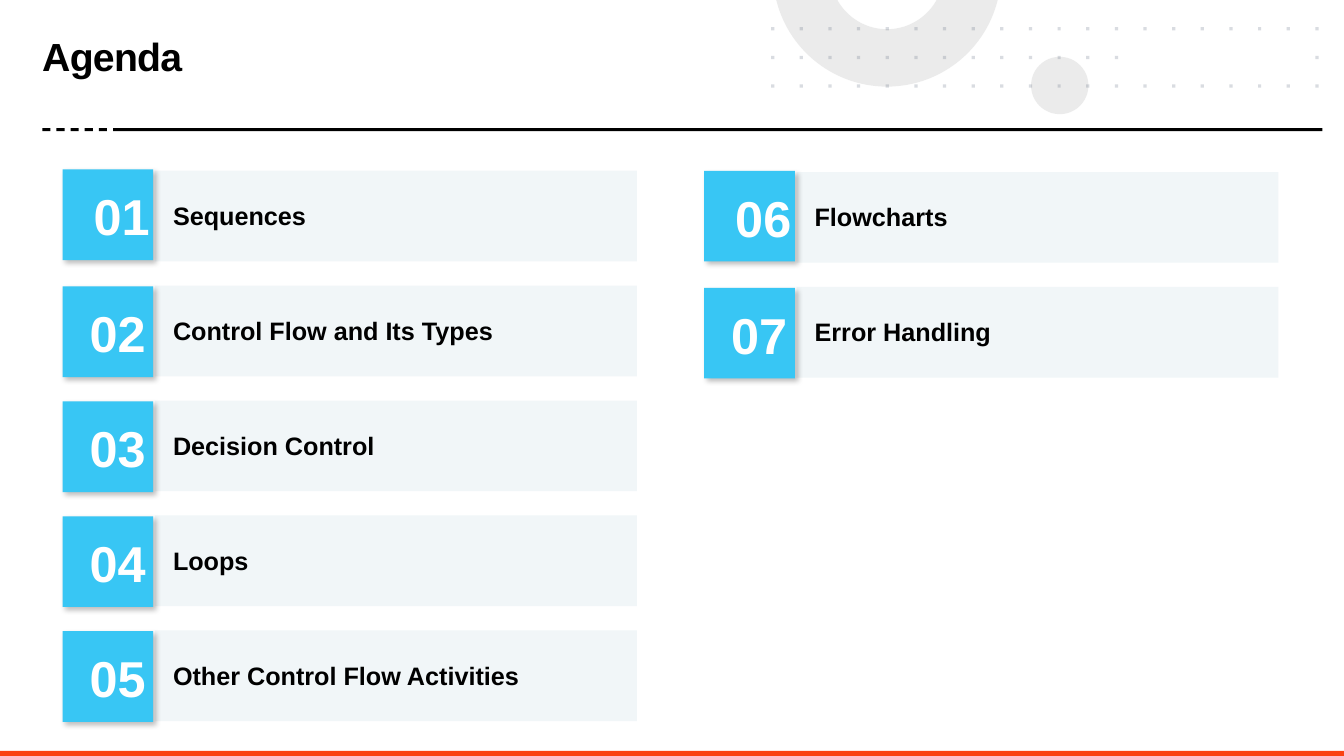
from dataclasses import dataclass
from math import asin, cos, pi, sin

from lxml import etree
from pptx import Presentation
from pptx.dml.color import RGBColor
from pptx.enum.shapes import MSO_SHAPE
from pptx.enum.text import MSO_AUTO_SIZE
from pptx.oxml.ns import qn
from pptx.util import Pt

RECTANGLE = MSO_SHAPE.RECTANGLE
OVAL = MSO_SHAPE.OVAL
GROW = MSO_AUTO_SIZE.SHAPE_TO_FIT_TEXT
NO_AUTOSIZE = MSO_AUTO_SIZE.NONE


@dataclass(frozen=True)
class Theme:
    font: str = "Arial"
    ink: str = "000000"
    paper: str = "FFFFFF"
    tile: str = "38C6F4"
    bar: str = "F1F6F8"
    footer: str = "FA4211"
    circle: str = "D9D9D9"
    dot: str = "44546A"
    title_size: float = 28
    number_size: float = 36
    label_size: float = 18


@dataclass(frozen=True)
class Box:
    left: float
    top: float
    width: float
    height: float

    def inside(self, left, top, width, height):
        return Box(self.left + left, self.top + top, width, height)

    def lengths(self):
        return [Pt(value) for value in (self.left, self.top, self.width, self.height)]


THEME = Theme()
TOPICS = (
    ("Sequences", "Control Flow and Its Types", "Decision Control", "Loops",
     "Other Control Flow Activities"),
    ("Flowcharts", "Error Handling"),
)
COLUMN_STEP = (458.3, 1)
ROW_STEP = 82.1
TILE_SIDE = 64.8
DOT_STEP = 20.46
DOT_SIDE = 2.3
DOT_BLOCKS = (
    (range(14, 20), (19,)),
    (range(0, 6), range(0, 6)),
    (range(6, 12), range(6, 12)),
    (range(12, 14), (12,)),
)


def paint(shape, color, opacity=100):
    shape.shadow.inherit = False
    shape.fill.solid()
    shape.fill.fore_color.rgb = RGBColor.from_string(color)
    shape.line.fill.background()
    if opacity < 100:
        color_element = shape._element.spPr.find(qn("a:solidFill"))[0]
        etree.SubElement(color_element, qn("a:alpha"), val=str(opacity * 1000))


def add_block(shapes, box, color, opacity=100, kind=RECTANGLE):
    shape = shapes.add_shape(kind, *box.lengths())
    paint(shape, color, opacity)
    return shape


def add_outline(shapes, contours, color, opacity):
    contours = [[(Pt(x), Pt(y)) for x, y in contour] for contour in contours]
    builder = shapes.build_freeform(*contours[0][0])
    for index, contour in enumerate(contours):
        if index:
            builder.move_to(*contour[0])
        builder.add_line_segments(contour[1:], close=True)
    paint(builder.convert_to_shape(), color, opacity)


def add_shadow(shape):
    effects = shape._element.spPr.find(qn("a:effectLst"))
    shadow = etree.SubElement(
        effects, qn("a:outerShdw"), blurRad=str(Pt(4)), dist=str(Pt(3)),
        dir="2700000", algn="tl", rotWithShape="0")
    color = etree.SubElement(shadow, qn("a:srgbClr"), val=THEME.ink)
    etree.SubElement(color, qn("a:alpha"), val="25000")


def add_text(shapes, box, text, size, color, frame_format):
    frame = shapes.add_textbox(*box.lengths()).text_frame
    for name, value in {"word_wrap": True, **frame_format}.items():
        setattr(frame, name, value)
    paragraph = frame.paragraphs[0]
    run = paragraph.add_run()
    run.text = text
    for name, value in {"name": THEME.font, "size": Pt(size), "bold": True}.items():
        setattr(run.font, name, value)
    run.font.color.rgb = RGBColor.from_string(color)
    return paragraph


def arc(center_x, center_y, radius, edge):
    start = asin((edge - center_y) / radius)
    steps = 60
    angles = [start + (pi - 2 * start) * step / steps for step in range(steps + 1)]
    return [(center_x + radius * cos(angle), center_y + radius * sin(angle))
            for angle in angles]


def add_dots(shapes, box):
    group = shapes.add_group_shape()
    for outer_columns, middle_columns in DOT_BLOCKS:
        squares = []
        for row, columns in enumerate((outer_columns, middle_columns, outer_columns)):
            for column in columns:
                left = box.left + column * DOT_STEP
                top = box.top + row * DOT_STEP
                right, bottom = left + DOT_SIDE, top + DOT_SIDE
                squares.append([(left, top), (right, top), (right, bottom), (left, bottom)])
        add_outline(group.shapes, squares, THEME.dot, 20)


def add_decoration(shapes, box):
    add_block(shapes, box.inside(185.7, 40.6, 41, 41), THEME.circle, 50, OVAL)
    center = (box.left + 82.8, box.top - 19.6)
    outer, inner = (arc(*center, radius, box.top) for radius in (81.5, 40.5))
    add_outline(shapes, [outer + inner[::-1]], THEME.circle, 50)
    add_dots(shapes, box.inside(0, 19.4, 391, 43.3))


def add_header(shapes, box):
    paragraph = add_text(
        shapes, box.inside(0, 0, 520.6, 54), "Agenda", THEME.title_size, THEME.ink,
        {"margin_left": 0, "margin_right": 0, "margin_top": 0, "margin_bottom": 0,
         "auto_size": NO_AUTOSIZE})
    paragraph.line_spacing = 0.85
    paragraph.runs[0].font._element.set("spc", "-50")
    add_block(shapes, box.inside(50.6, 63.4, box.width - 50.6, 2.2), THEME.ink)
    for dash in range(5):
        add_block(shapes, box.inside(dash * 10.1, 63.4, 5.8, 2.2), THEME.ink)


def add_topic(shapes, box, number, label, is_first):
    group = shapes.add_group_shape().shapes
    tile_top = -0.9 if is_first else 0.6
    number_left = 15.1 if is_first else 12.2
    add_block(group, box.inside(66, 0, box.width - 66, box.height), THEME.bar)
    tile = add_block(group, box.inside(0, tile_top, TILE_SIDE, TILE_SIDE), THEME.tile)
    add_shadow(tile)
    add_text(group, box.inside(number_left, tile_top + 7.9, 61.2, 51.1), f"{number:02}",
             THEME.number_size, THEME.paper, {"auto_size": GROW})
    add_text(group, box.inside(71.8, 17.7, 365.8, 29.1), label,
             THEME.label_size, THEME.ink, {"auto_size": GROW})


def add_agenda(shapes, box):
    number = 0
    for column, labels in enumerate(TOPICS):
        for row, label in enumerate(labels):
            number += 1
            topic = box.inside(column * COLUMN_STEP[0],
                               column * COLUMN_STEP[1] + row * ROW_STEP, 410.2, TILE_SIDE)
            add_topic(shapes, topic, number, label, row == 0)


def build_slide(presentation):
    slide = presentation.slides.add_slide(presentation.slide_layouts[6])
    shapes = slide.shapes
    add_decoration(shapes, Box(550.8, 0, 391, 82))
    add_block(shapes, Box(0, 536.4, 960, 3.6), THEME.footer)
    add_header(shapes, Box(30.2, 28.1, 914.4, 66))
    add_agenda(shapes, Box(44.7, 121.9, 868.5, 393.2))


def main():
    presentation = Presentation()
    presentation.slide_width = Pt(960)
    presentation.slide_height = Pt(540)
    build_slide(presentation)
    presentation.save("out.pptx")


if __name__ == "__main__":
    main()
